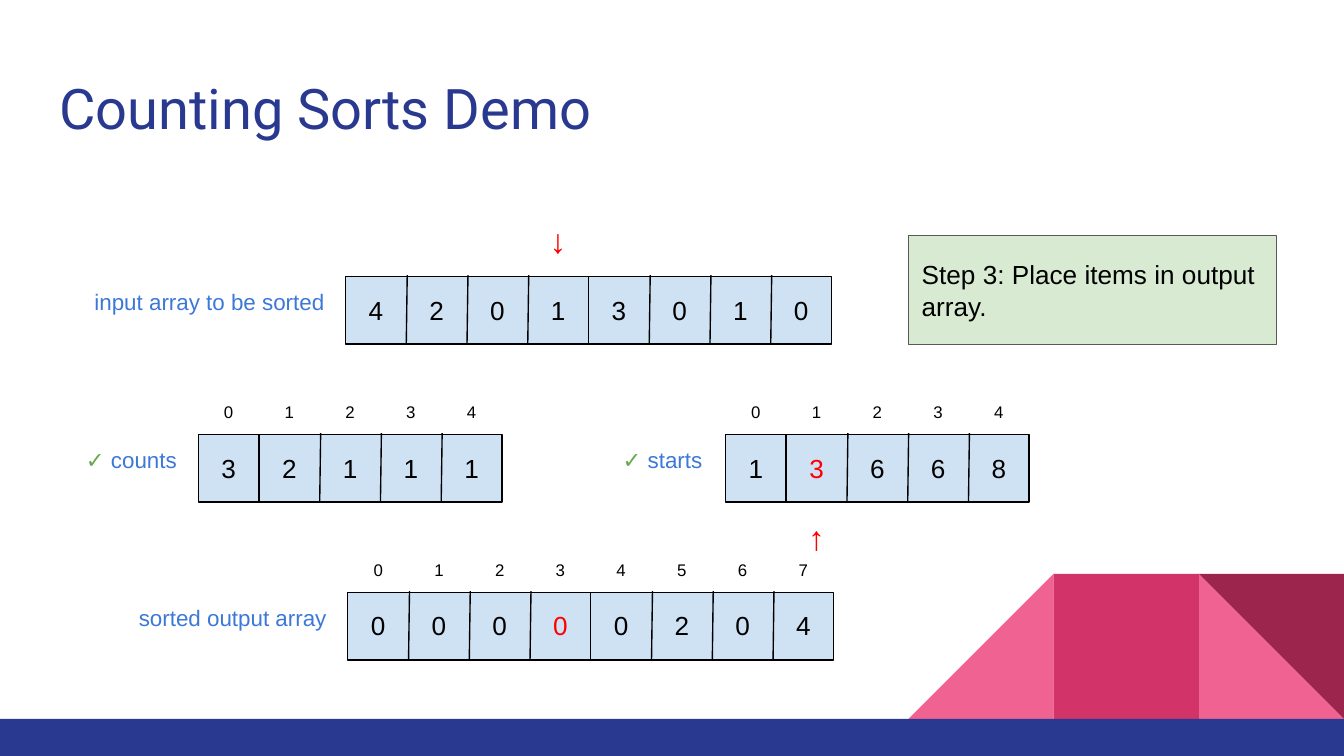
from dataclasses import dataclass
from typing import Optional

from lxml import etree
from pptx import Presentation
from pptx import util as u
from pptx.dml.color import RGBColor
from pptx.enum import shapes, text
from pptx.oxml.ns import qn

# Every length is a percentage of the slide's width (x, w) or height (y, h).
WIDE, HIGH = u.Inches(10), u.Inches(5.625)
CELL_W, CELL_H = 4.52, 9.1
ROW_TOP, ROW_GAP = 36.4, 20.9
INDEX_H = 5.9
BLOCK = 4  # cells in the last filled block of an array
SLANT = 0.07
TILE_W, TILE_H = 10.8, 19.2
BAR_TOP = 95.1

BLACK, RED, BLUE, GREEN = "000000", "FF0000", "3C78D8", "6AA84F"
PINK, ROSE, WINE, NAVY = "F06292", "D23369", "9C254D", "2A3990"
SKY, MINT, GREY = "CFE2F3", "D9EAD3", "595959"

LEFT, MID, RIGHT = (text.PP_ALIGN.LEFT, text.PP_ALIGN.CENTER,
                    text.PP_ALIGN.RIGHT)
TOP, CENTRE, LOW = (text.MSO_ANCHOR.TOP, text.MSO_ANCHOR.MIDDLE,
                    text.MSO_ANCHOR.BOTTOM)
KIND = shapes.MSO_SHAPE
Run = tuple[str, str]  # wording, colour


@dataclass
class Box:
    x: float
    y: float
    w: float
    h: float

    def emu(self) -> list[int]:
        return [round(part * side / 100) for part, side in
                zip((self.x, self.y, self.w, self.h), (WIDE, HIGH) * 2)]


@dataclass
class Tile:
    kind: KIND
    box: Box
    color: str
    turn: int = 0
    flip: bool = False


@dataclass
class Array:
    x: float
    row: int
    values: str
    label: list[Run]
    label_x: float
    label_w: float
    index: bool = True
    marked: Optional[int] = None

    def top(self) -> float:
        return ROW_TOP + ROW_GAP * self.row

    def col(self, n: int) -> float:
        return self.x + CELL_W * n


def rgb(color: str) -> RGBColor:
    return RGBColor.from_string(color)


def write(shape, runs: list[Run], size: float, align=LEFT, anchor=TOP,
          face: str = "Arial") -> None:
    frame = shape.text_frame
    inset = u.Inches(0.1)
    look = {"word_wrap": True, "auto_size": text.MSO_AUTO_SIZE.NONE,
            "vertical_anchor": anchor, "margin_left": inset,
            "margin_right": inset, "margin_top": inset,
            "margin_bottom": inset}
    for name, value in look.items():
        setattr(frame, name, value)
    line = frame.paragraphs[0]
    line.alignment = align
    for words, color in runs:
        run = line.add_run()
        run.text = words
        for name, value in {"size": u.Pt(size), "name": face}.items():
            setattr(run.font, name, value)
        run.font.color.rgb = rgb(color)


def note(slide, box: Box, runs: list[Run], size: float, align=MID,
         anchor=CENTRE) -> None:
    """Add a plain text box."""
    write(slide.shapes.add_textbox(*box.emu()), runs, size, align, anchor)


def panel(slide, kind: KIND, box: Box, fill: str,
          edge: Optional[str] = None):
    shape = slide.shapes.add_shape(kind, *box.emu())
    shape.shadow.inherit = False
    shape.fill.solid()
    shape.fill.fore_color.rgb = rgb(fill)
    if edge:
        shape.line.color.rgb = rgb(edge)
        shape.line.width = u.Pt(0.75)
    else:
        shape.line.fill.background()
    return shape


def divide(slide, x: float, top: float) -> None:
    """Draw the slightly slanted line between two cells."""
    x1, y1, dx, dy = Box(x + SLANT, top, -SLANT, CELL_H).emu()
    line = slide.shapes.add_connector(
        shapes.MSO_CONNECTOR.STRAIGHT, x1, y1, x1 + dx, y1 + dy)
    line.line.color.rgb = rgb(BLACK)
    line.line.width = u.Pt(0.75)
    etree.SubElement(line._element.spPr, qn("a:effectLst"))


def draw_tile(slide, tile: Tile) -> None:
    shape = panel(slide, tile.kind, tile.box, tile.color)
    shape.rotation = tile.turn
    if tile.flip:
        shape._element.spPr.xfrm.set("flipH", "1")


def draw_array(slide, array: Array) -> None:
    top, count = array.top(), len(array.values)
    split = count - BLOCK
    for first, last in ((0, split), (split, count)):
        panel(slide, KIND.RECTANGLE,
              Box(array.col(first), top + 0.2, CELL_W * (last - first),
                  CELL_H - 0.2), SKY, BLACK)
        for n in range(first + 1, last):
            divide(slide, array.col(n), top)
    for n, value in enumerate(array.values):
        color = RED if n == array.marked else BLACK
        note(slide, Box(array.col(n), top, CELL_W, CELL_H),
             [(value, color)], 14)
        if array.index:
            note(slide, Box(array.col(n), top - INDEX_H, CELL_W, INDEX_H),
                 [(str(n), BLACK)], 9, anchor=TOP)
    note(slide, Box(array.label_x, top, array.label_w, CELL_H),
         array.label, 12, RIGHT, TOP)


def main() -> None:
    deck = Presentation()
    deck.slide_width, deck.slide_height = WIDE, HIGH
    slide = deck.slides.add_slide(deck.slide_layouts[5])

    title = slide.shapes.title
    place = Box(3.4, 8, 93.2, 11.8).emu()
    for name, value in zip(("left", "top", "width", "height"), place):
        setattr(title, name, value)
    write(title, [("Counting Sorts Demo", NAVY)], 30, face="Roboto")

    spots = [Box(100 - TILE_W * n, BAR_TOP - TILE_H, TILE_W, TILE_H)
             for n in (1, 2, 3)]
    tiles = [
        Tile(KIND.RIGHT_TRIANGLE, spots[0], PINK),
        Tile(KIND.RIGHT_TRIANGLE, spots[2], PINK, flip=True),
        Tile(KIND.RECTANGLE, spots[1], ROSE),
        Tile(KIND.RIGHT_TRIANGLE, spots[0], WINE, turn=180),
        Tile(KIND.RECTANGLE, Box(0, BAR_TOP, 100, 100 - BAR_TOP), NAVY),
    ]
    for tile in tiles:
        draw_tile(slide, tile)

    tick = ("✓ ", GREEN)
    given = Array(25.71, 0, "42013010", [("input array to be sorted", BLUE)],
                  3.45, 21.7, index=False)
    counts = Array(14.75, 1, "32111", [tick, ("counts", BLUE)], 3.35, 10.8)
    starts = Array(53.98, 1, "13668", [tick, ("starts", BLUE)], 42.45, 10.8,
                   marked=1)
    output = Array(25.88, 2, "00000204", [("sorted output array", BLUE)],
                   6.2, 19.1, marked=3)
    for array in (given, counts, starts, output):
        draw_array(slide, array)

    step = panel(slide, KIND.RECTANGLE, Box(67.6, 31.15, 27.4, 14.4),
                 MINT, GREY)
    write(step, [("Step 3: Place items in output array.", BLACK)], 14,
          anchor=CENTRE)
    note(slide, Box(given.col(3), given.top() - CELL_H - 0.1, CELL_W, CELL_H),
         [("↓", RED)], 18)
    note(slide, Box(starts.col(1), starts.top() + CELL_H, CELL_W, CELL_H),
         [("↑", RED)], 18, anchor=LOW)

    deck.save("out.pptx")


if __name__ == "__main__":
    main()
